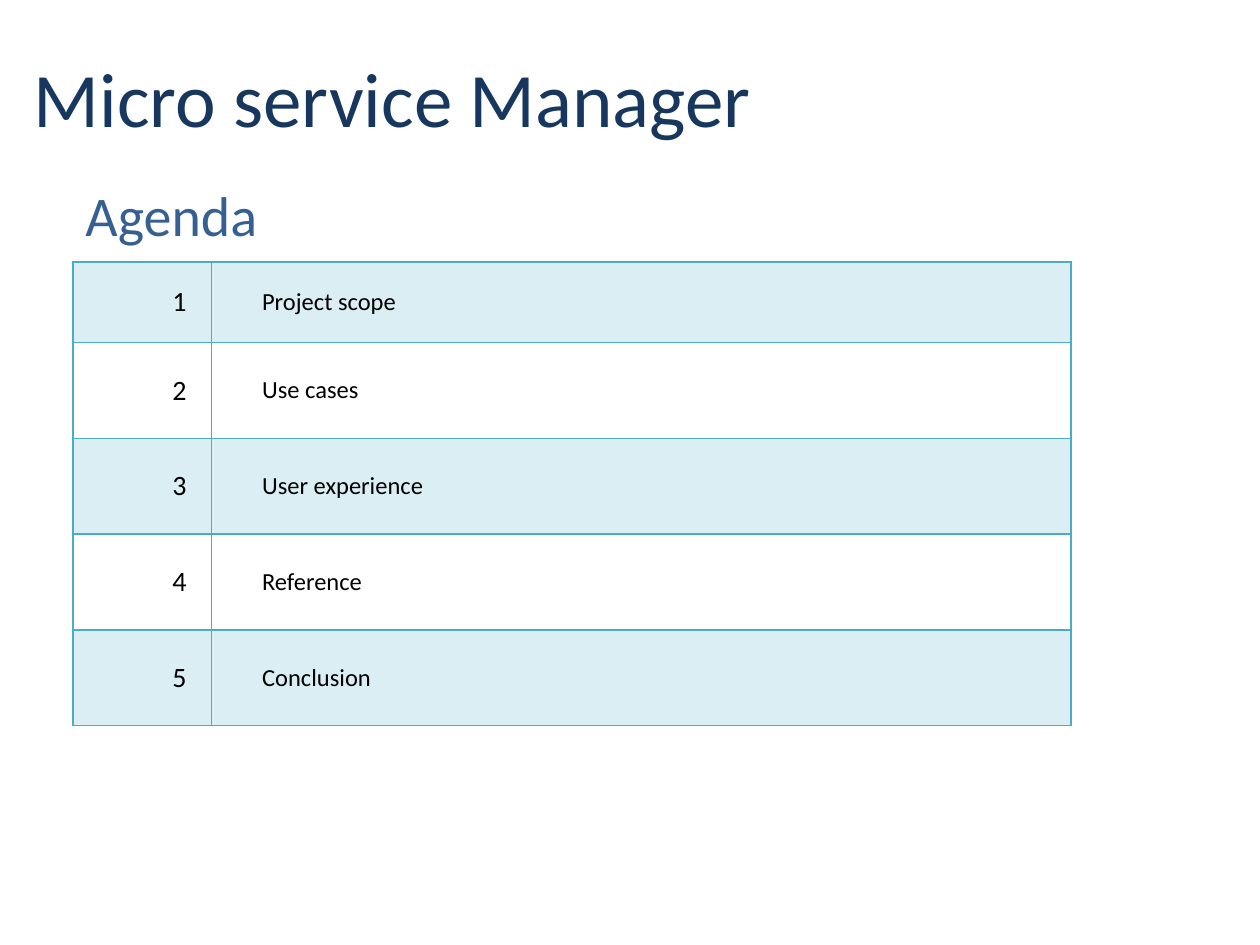
from lxml import etree
from pptx import Presentation
from pptx.dml.color import RGBColor
from pptx.enum.text import MSO_ANCHOR, PP_ALIGN
from pptx.oxml.ns import qn
from pptx.util import Inches, Pt

TOP, MIDDLE = MSO_ANCHOR.TOP, MSO_ANCHOR.MIDDLE
LEFT, RIGHT = PP_ALIGN.LEFT, PP_ALIGN.RIGHT
TOPICS = ["Project scope", "Use cases", "User experience", "Reference", "Conclusion"]


def colour(value):
    """Turn a hex string into a colour."""
    return RGBColor.from_string(value)


def write(frame, text, size, ink, font="Calibri", align=LEFT, spacing=None, before=0):
    """Write one formatted paragraph into a text frame."""
    para = frame.paragraphs[0]
    para.alignment = align
    para.space_before = Pt(before)
    if spacing:
        para.line_spacing = spacing
    span = para.add_run()
    span.text = text
    span.font.name = font
    span.font.size = Pt(size)
    span.font.color.rgb = colour(ink)


def add_borders(cell, ink, width):
    """Draw all four borders of a table cell."""
    properties = cell._tc.get_or_add_tcPr()
    for index, side in enumerate(("lnL", "lnR", "lnT", "lnB")):
        line = etree.Element(qn("a:" + side), w=str(Pt(width)))
        fill = etree.SubElement(line, qn("a:solidFill"))
        etree.SubElement(fill, qn("a:srgbClr"), val=ink)
        properties.insert(index, line)


def tint(cell, ink, percent):
    """Fill a table cell with a partly transparent colour."""
    cell.fill.solid()
    cell.fill.fore_color.rgb = colour(ink)
    tone = cell._tc.tcPr.find(qn("a:solidFill")).find(qn("a:srgbClr"))
    etree.SubElement(tone, qn("a:alpha"), val=str(percent * 1000))


class AgendaSlide:
    """The style and the current slide."""

    accent, ink = "4BACC6", "000000"

    def __init__(self, deck):
        """Add a blank page to the deck."""
        self.page = deck.slides.add_slide(deck.slide_layouts[6])

    def text(self, left, top, width, height, text, anchor=TOP, **style):
        """Add a wrapped text box."""
        box = self.page.shapes.add_textbox(
            Inches(left), Inches(top), Inches(width), Inches(height))
        box.text_frame.word_wrap = True
        box.text_frame.vertical_anchor = anchor
        write(box.text_frame, text, **style)

    def cell(self, cell, text, banded, indent, **style):
        """Format and fill one table cell."""
        cell.margin_left, cell.margin_right = Inches(indent), Inches(0.2)
        cell.margin_top = cell.margin_bottom = Inches(0.15)
        cell.vertical_anchor = MIDDLE
        write(cell.text_frame, text, ink=self.ink, **style)
        if banded:
            tint(cell, self.accent, 20)
        else:
            cell.fill.background()
        add_borders(cell, self.accent, 1)

    def agenda(self, left, top, columns, heights, topics):
        """Add a table of numbered topics."""
        table = self.page.shapes.add_table(
            len(topics), len(columns), Inches(left), Inches(top),
            Inches(sum(columns)), Inches(sum(heights))).table
        table.first_row = table.horz_banding = False
        for column, width in zip(table.columns, columns):
            column.width = Inches(width)
        for index, topic in enumerate(topics):
            table.rows[index].height = Inches(heights[index])
            banded = index % 2 == 0
            self.cell(table.cell(index, 0), str(index + 1), banded, 0.2,
                      size=16, align=RIGHT)
            self.cell(table.cell(index, 1), topic, banded, 0.4, size=14)


deck = Presentation()
deck.slide_width, deck.slide_height = Inches(10), Inches(7.5)
slide = AgendaSlide(deck)
slide.agenda(0.58, 2.08, [1.1, 6.82], [0.64] + [0.76] * 4, TOPICS)
slide.text(0.17, 0.17, 10, 1.2, "Micro service Manager", anchor=MIDDLE,
           size=44, ink="17375E")
slide.text(0.58, 1.33, 9.16, 0.75, "Agenda", size=32, ink="376092",
           spacing=1.1, before=6.4)
deck.save("out.pptx")
